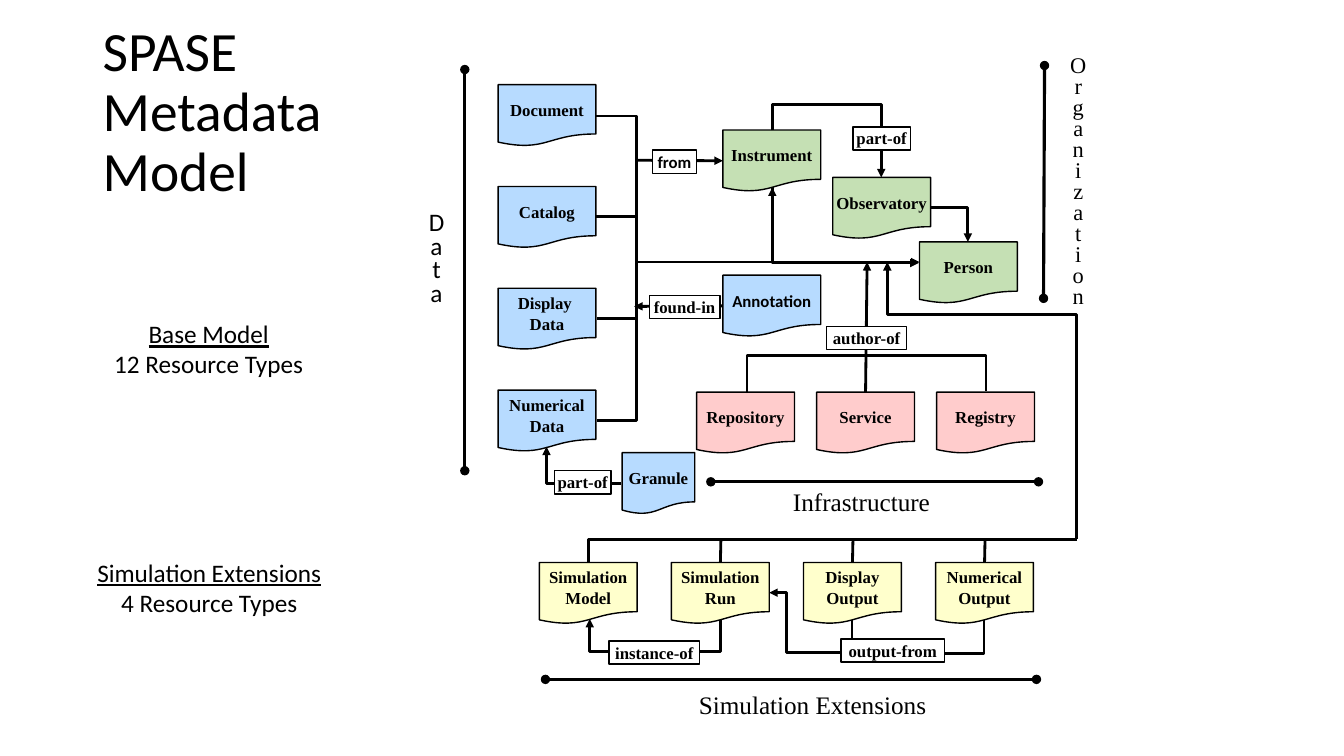
from lxml import etree
from pptx import Presentation, util as u
from pptx.dml import color
from pptx.enum import shapes, text
from pptx.oxml import ns

COLORS = {"ink": "000000", "paper": "FFFFFF", "data": "B7DBFF",
          "organization": "C5E0B4", "infrastructure": "FFCCCC", "simulation": "FFFFCC"}
SERIF, SANS = "Times New Roman", "Calibri"
DOC_W, DOC_H, LABEL_H = 0.97, 0.61, 0.23


def rgb(name):
    return color.RGBColor.from_string(COLORS[name])


def write(holder, paragraphs, size, font, bold=False, underline_first=False, spacing=None,
          after=0, align=text.PP_ALIGN.CENTER, anchor=text.MSO_ANCHOR.TOP, insets=None, wrap=True):
    frame = holder.text_frame
    frame.word_wrap, frame.vertical_anchor = wrap, anchor
    if insets:
        (frame.margin_left, frame.margin_top,
         frame.margin_right, frame.margin_bottom) = map(u.Inches, insets)
    for i, content in enumerate(paragraphs):
        para = frame.paragraphs[0] if i == 0 else frame.add_paragraph()
        para.alignment, para.line_spacing, para.space_after = align, spacing, u.Pt(after)
        for j, words in enumerate(content.split("\n")):
            if j:
                para.add_line_break()
            run = para.add_run()
            run.text = words
            run.font.size, run.font.name, run.font.bold = u.Pt(size), font, bold
            run.font.underline = underline_first and i == 0
            run.font.color.rgb = rgb("ink")


class Region:
    """Area of the diagram, measured in inches from its top left corner."""

    def __init__(self, slide, left, top):
        self.canvas, self.left, self.top = slide.shapes, left, top

    def at(self, x, y):
        return u.Inches(self.left + x), u.Inches(self.top + y)

    def box(self, kind, x, y, w, h, fill, outlined=True):
        item = self.canvas.add_shape(kind, *self.at(x, y), u.Inches(w), u.Inches(h))
        item.shadow.inherit = False
        item.fill.solid()
        item.fill.fore_color.rgb = rgb(fill)
        if outlined:
            item.line.color.rgb, item.line.width = rgb("ink"), u.Pt(1)
        else:
            item.line.fill.background()
        return item

    def document(self, name, x, y, fill, w=DOC_W, font=SERIF):
        item = self.box(shapes.MSO_SHAPE.FLOWCHART_DOCUMENT, x, y, w, DOC_H, fill)
        write(item, [name], 12, font, bold=True, spacing=1.05, after=8,
              anchor=text.MSO_ANCHOR.MIDDLE, insets=(0, 0, 0, 0))
        return item

    def label(self, name, x, y, w, font=SERIF):
        item = self.box(shapes.MSO_SHAPE.RECTANGLE, x, y, w, LABEL_H, "paper")
        write(item, [name], 12, font, bold=True, spacing=1.06, insets=(0.02, 0, 0.02, 0.01))
        item.text_frame.auto_size = text.MSO_AUTO_SIZE.SHAPE_TO_FIT_TEXT

    def caption(self, paragraphs, x, y, w, h, size=18, font=SERIF, pitch=18):
        item = self.box(shapes.MSO_SHAPE.RECTANGLE, x, y, w, h, "paper", outlined=False)
        write(item, paragraphs, size, font, spacing=u.Pt(pitch), wrap=False)

    def note(self, paragraphs, x, y, w, h, **style):
        item = self.canvas.add_textbox(*self.at(x, y), u.Inches(w), u.Inches(h))
        write(item, paragraphs, **style)

    def stroke(self, link, width, head, tail):
        link.line.color.rgb, link.line.width = rgb("ink"), u.Pt(width)
        ln = link.line._get_or_add_ln()
        for tag, end in (("a:headEnd", head), ("a:tailEnd", tail)):
            if end:
                etree.SubElement(ln, ns.qn(tag)).set("type", end)
        etree.SubElement(link._element.spPr, ns.qn("a:effectLst"))
        return link

    def line(self, start, end, head=None, tail=None, width=2):
        link = self.canvas.add_connector(shapes.MSO_CONNECTOR.STRAIGHT,
                                         *self.at(*start), *self.at(*end))
        return self.stroke(link, width, head, tail)

    def ruler(self, start, end):
        self.line(start, end, "oval", "oval", 2.25)

    def route(self, *points, head=None, tail=None):
        """Elbow connector through right-angled points; vertical starts run to the right."""
        (x0, y0), (x1, y1) = points[0], points[-1]
        dx, dy = x1 - x0, y1 - y0
        upright = points[1][0] == x0
        w, h = (abs(dy), abs(dx)) if upright else (abs(dx), abs(dy))
        if upright:
            turn, flip_h, flip_v = (270, True, False) if dy > 0 else (90, True, True)
        else:
            turn, flip_h, flip_v = (0 if dx > 0 else 180), False, dx * dy < 0
        left, top = (x0 + x1 - w) / 2, (y0 + y1 - h) / 2
        link = self.canvas.add_connector(shapes.MSO_CONNECTOR.ELBOW, *self.at(left, top),
                                         *self.at(left + w, top + h))
        xfrm = link._element.spPr.find(ns.qn("a:xfrm"))
        for key, value in (("rot", turn * 60000), ("flipH", int(flip_h)), ("flipV", int(flip_v))):
            xfrm.set(key, str(value))
        shape = link._element.spPr.find(ns.qn("a:prstGeom"))
        shape.set("prst", f"bentConnector{len(points) - 1}")
        guides = shape.find(ns.qn("a:avLst"))
        for i, (x, y) in enumerate(points[1:-2]):
            along_y = upright == (i % 2 == 0)
            share = (y - y0) / dy if along_y else (x - x0) / dx
            guide = etree.SubElement(guides, ns.qn("a:gd"))
            guide.set("name", f"adj{i + 1}")
            guide.set("fmla", f"val {round(share * 100000)}")
        self.stroke(link, 2, head, tail)


def side_notes(slide, left, top):
    side = Region(slide, left, top)
    side.note(["SPASE\nMetadata\nModel"], 0.07, 0, 3.36, 1.45, size=39.6, font=SANS, spacing=0.9,
              align=text.PP_ALIGN.LEFT, anchor=text.MSO_ANCHOR.MIDDLE)
    for heading, count, x, y, w in (("Base Model", 12, 0.17, 2.71, 2.1),
                                    ("Simulation Extensions", 4, 0, 5.08, 2.45)):
        side.note([heading, f"{count} Resource Types"], x, y, w, 0.71,
                  size=18, font=SANS, underline_first=True, wrap=False)


def data_region(slide, left, top):
    data = Region(slide, left, top)
    # Resource types
    for i, name in enumerate(("Document", "Catalog", "Display \nData", "Numerical Data")):
        data.document(name, 0.94, 0.34 + 1.01 * i, "data")
    annotation = data.document("Annotation", 3.17, 2.23, "data", font=SANS)
    data.document("Granule", 2.17, 3.99, "data", w=0.72)
    # Axis and its name
    data.ruler((0.61, 0.19), (0.61, 4.17))
    data.caption(list("Data"), 0.15, 1.56, 0.36, 1.5, font=SANS, pitch=17)
    # Shared spine and relations
    for first, last in ((0.65, 3.67), (1.65, 2.66)):
        data.route((1.91, first), (2.32, first), (2.32, last), (1.92, last))
    data.line((3.17, 2.54), (2.29, 2.54), tail="triangle").begin_connect(annotation, 1)
    data.label("found-in", 2.44, 2.43, 0.7)
    data.route((2.16, 4.3), (1.42, 4.3), (1.42, 3.93), tail="triangle")
    data.label("part-of", 1.5, 4.17, 0.56)


def organization_region(slide, left, top):
    org = Region(slide, left, top)
    org.route((1.66, 1.26), (1.66, 2.11), (3.11, 2.11), tail="triangle")
    # Resource types
    instrument = org.document("Instrument", 1.17, 0.79, "organization")
    org.document("Observatory", 2.26, 1.26, "organization")
    org.document("Person", 3.12, 1.9, "organization")
    # Axis and its name
    org.ruler((4.36, 0.15), (4.35, 2.46))
    org.caption(list("Organization"), 4.51, 0.02, 0.37, 2.62, size=16, pitch=15)
    # Relations
    org.line((0.31, 1.09), (1.17, 1.09), tail="triangle").end_connect(instrument, 1)
    org.label("from", 0.47, 0.99, 0.44, font=SANS)
    org.route((1.66, 0.79), (1.66, 0.54), (2.74, 0.54), (2.74, 1.26), tail="triangle")
    org.label("part-of", 2.46, 0.76, 0.57)
    org.route((3.23, 1.56), (3.6, 1.56), (3.6, 1.9), tail="triangle")
    org.line((3.12, 2.1), (0.31, 2.1), head="triangle")
    org.line((1.66, 2.1), (1.66, 1.36), tail="triangle")


def infrastructure_region(slide, left, top):
    infra = Region(slide, left, top)
    names = ("Repository", "Service", "Registry")
    services = [infra.document(name, 0.01 + 1.19 * i, 1.29, "infrastructure")
                for i, name in enumerate(names)]
    infra.ruler((0.15, 2.18), (3.4, 2.18))
    infra.caption(["Infrastructure"], 0.86, 2.23, 1.57, 0.37)
    # Authors
    infra.route((0.51, 1.3), (0.51, 0.93), (2.88, 0.93), (2.88, 1.28))
    infra.line((1.7, 0), (1.69, 1.29), head="triangle").end_connect(services[1], 0)
    infra.label("author-of", 1.3, 0.64, 0.79)


def simulation_region(slide, left, top):
    sim = Region(slide, left, top)
    sim.route((3.23, 3.88), (4.46, 3.88), (4.46, 3.55), head="triangle")
    names = ("Simulation Model", "Simulation Run", "Display Output", "Numerical Output")
    extensions = [sim.document(name, 0.05 + 1.31 * i, 2.98, "simulation")
                  for i, name in enumerate(names)]
    sim.ruler((0.11, 4.14), (4.98, 4.14))
    sim.caption(["Simulation Extensions"], 1.53, 4.24, 2.46, 0.37)
    # Relations between extensions
    sim.route((0.55, 3.54), (0.55, 3.87), (1.85, 3.87), (1.85, 3.55), head="triangle")
    sim.route((2.33, 3.28), (2.5, 3.28), (2.5, 3.87), (3.15, 3.87), (3.15, 3.55), head="triangle")
    sim.label("instance-of", 0.74, 3.76, 0.9)
    sim.label("output-from", 3.04, 3.74, 1.03)
    # Bus up to the person
    sim.route((3.5, 0), (3.5, 0.52), (5.38, 0.52), (5.38, 2.75), head="triangle")
    sim.route((5.38, 2.75), (0.54, 2.75), (0.54, 2.98))
    for i, extension in enumerate(extensions[1:], 1):
        x = 0.54 + 1.31 * i
        sim.line((x, 2.75), (x, 2.98)).end_connect(extension, 0)


def main():
    deck = Presentation()
    deck.slide_width, deck.slide_height = u.Inches(13.33), u.Inches(7.5)
    slide = deck.slides.add_slide(deck.slide_layouts[6])
    side_notes(slide, 0.85, 0.4)
    data_region(slide, 4, 0.5)
    organization_region(slide, 6, 0.5)
    infrastructure_region(slide, 6.9, 2.6)
    simulation_region(slide, 5.3, 2.6)
    deck.save("out.pptx")


if __name__ == "__main__":
    main()
